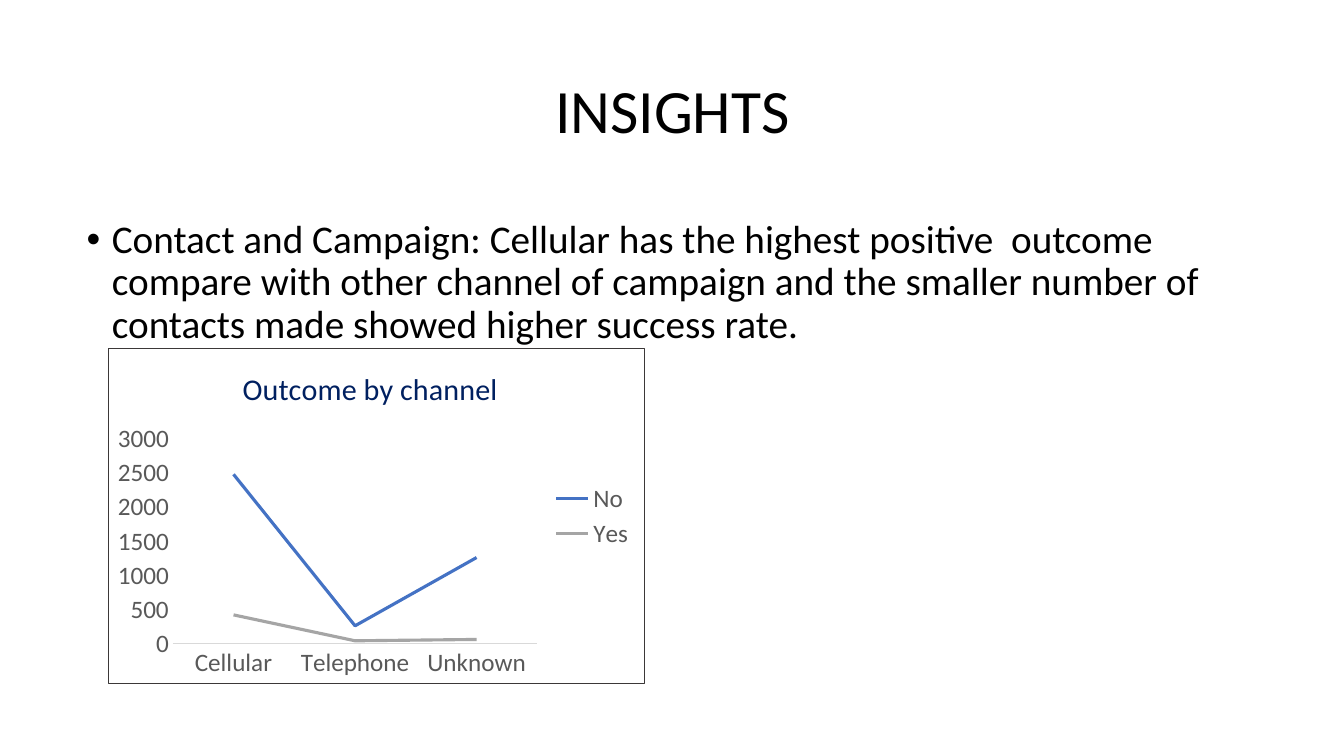
from lxml.etree import SubElement
from pptx import Presentation
from pptx.chart.data import CategoryChartData
from pptx.dml.color import RGBColor
from pptx.enum.chart import XL_CHART_TYPE, XL_LEGEND_POSITION, XL_TICK_MARK
from pptx.enum.text import MSO_ANCHOR, PP_ALIGN
from pptx.oxml import parse_xml
from pptx.oxml.ns import nsdecls, qn
from pptx.util import Inches, Pt


def color(hex_string):
    return RGBColor.from_string(hex_string)


def set_layout(element, index, **fractions):
    """Place a chart part by fractions of the chart's width and height."""
    for old in element.findall(qn("c:layout")):
        element.remove(old)
    layout = parse_xml(f"<c:layout {nsdecls('c')}><c:manualLayout/></c:layout>")
    for name, value in fractions.items():
        SubElement(layout[0], qn(f"c:{name}")).set("val", str(value))
    element.insert(index, layout)


class SlideBuilder:
    font = "Calibri"
    black = "000000"
    gray = "595959"

    def __init__(self, deck):
        self.slide = deck.slides.add_slide(deck.slide_layouts[1])

    def format_font(self, font, size, fill):
        font.name = self.font
        font.size = Pt(size)
        font.bold = False
        font.color.rgb = color(fill)

    def add_text(self, frame, text, size=18, fill=black, align=PP_ALIGN.LEFT, before=0, line_spacing=None):
        para = frame.paragraphs[0]
        para.alignment = align
        para.space_before = Pt(before)
        para.line_spacing = line_spacing
        span = para.add_run()
        span.text = text
        self.format_font(span.font, size, fill)
        return para

    def place(self, box, left, top, width, height):
        box.left, box.top = Inches(left), Inches(top)
        box.width, box.height = Inches(width), Inches(height)

    def title(self, text, *position):
        box = self.slide.shapes.title
        self.place(box, *position)
        box.text_frame.vertical_anchor = MSO_ANCHOR.MIDDLE
        self.add_text(box.text_frame, text, size=44, align=PP_ALIGN.CENTER, line_spacing=0.9)

    def bullet(self, text, *position):
        box = self.slide.placeholders[1]
        self.place(box, *position)
        para = self.add_text(box.text_frame, text, size=28, before=10, line_spacing=0.9)
        properties = para._p.get_or_add_pPr()
        properties.set("marL", str(Inches(0.25)))
        properties.set("indent", str(Inches(-0.25)))
        SubElement(properties, qn("a:buFont")).set("typeface", "Arial")
        SubElement(properties, qn("a:buChar")).set("char", "•")

    def line_chart(self, title, categories, series, *position):
        """Draw a line chart; series maps each name to (colour, values)."""
        data = CategoryChartData()
        data.categories = categories
        for name, (_, values) in series.items():
            data.add_series(name, values)
        frame = self.slide.shapes.add_chart(
            XL_CHART_TYPE.LINE, *(Inches(length) for length in position), data)
        chart = frame.chart
        self.format_font(chart.font, 18, self.black)
        self.add_text(chart.chart_title.text_frame, title, size=21.6, fill="002060")
        chart.chart_title.include_in_layout = False
        set_layout(chart.chart_title._element, 1, xMode="edge", yMode="edge", x=0.24, y=0.04)
        set_layout(chart.element.chart.plotArea, 0, layoutTarget="inner", xMode="edge",
                   yMode="edge", x=0.12, y=0.27, w=0.68, h=0.61)

        for axis in (chart.category_axis, chart.value_axis):
            axis.major_tick_mark = axis.minor_tick_mark = XL_TICK_MARK.NONE
            axis.has_major_gridlines = False
            self.format_font(axis.tick_labels.font, 18, self.gray)
        axis_line = chart.category_axis.format.line
        axis_line.color.rgb = color("D9D9D9")
        axis_line.width = Pt(0.75)
        chart.value_axis.format.line.fill.background()
        chart.value_axis.maximum_scale = 3000
        chart.value_axis.major_unit = 500

        chart.has_legend = True
        chart.legend.position = XL_LEGEND_POSITION.RIGHT
        chart.legend.include_in_layout = False
        self.format_font(chart.legend.font, 18, self.gray)

        chart.plots[0].vary_by_categories = False
        for line, (line_color, _) in zip(chart.plots[0].series, series.values()):
            line.smooth = False
            line.format.line.color.rgb = color(line_color)
            line.format.line.width = Pt(2.25)
        self.border(chart, "3B3838", 0.75)

    def border(self, chart, line_color, width):
        chart.element.chart.addnext(parse_xml(
            f"<c:spPr {nsdecls('c', 'a')}><a:noFill/><a:ln w='{Pt(width)}'><a:solidFill>"
            f"<a:srgbClr val='{line_color}'/></a:solidFill></a:ln></c:spPr>"))


def main():
    deck = Presentation()
    deck.slide_width, deck.slide_height = Inches(13.33), Inches(7.5)
    page = SlideBuilder(deck)
    page.title("INSIGHTS", 0.92, 0.4, 11.5, 1.45)
    page.bullet(
        "Contact and Campaign: Cellular has the highest positive  outcome compare with other "
        "channel of campaign and the smaller number of contacts made showed higher success rate.",
        0.76, 2.13, 12.12, 4.76)
    page.line_chart(
        "Outcome by channel",
        ["Cellular", "Telephone", "Unknown"],
        {"No": ("4472C4", (2480, 260, 1260)), "Yes": ("A5A5A5", (420, 40, 60))},
        1.07, 3.45, 5.33, 3.34)
    deck.save("out.pptx")


if __name__ == "__main__":
    main()
